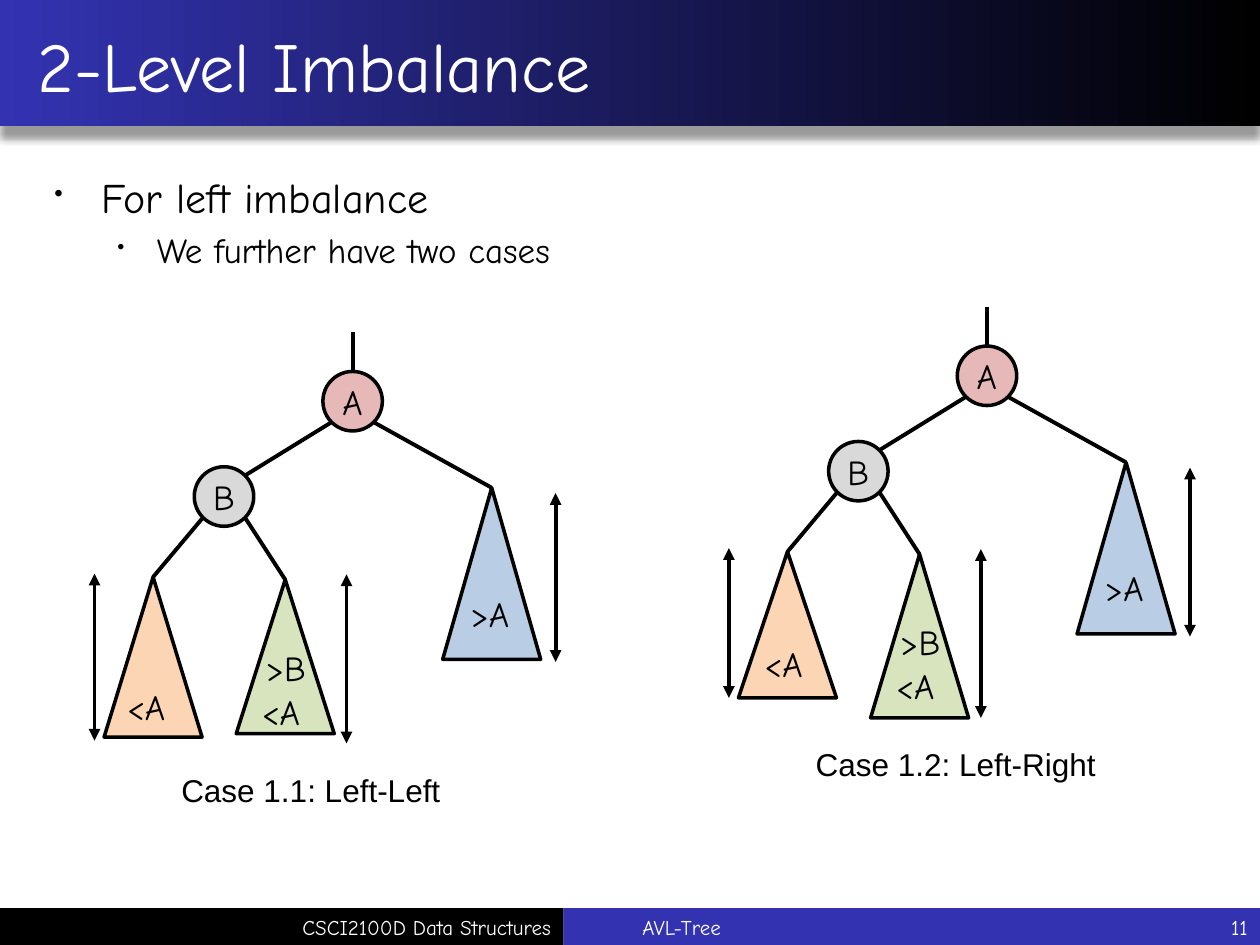
from lxml import etree
from pptx import Presentation
from pptx.dml.color import RGBColor
from pptx.enum import shapes as s, text as t
from pptx.oxml import ns
from pptx.util import Pt

BLACK, WHITE = RGBColor(0, 0, 0), RGBColor(255, 255, 255)
BLUE = RGBColor(0x33, 0x33, 0xB2)
ROSE, GREY = RGBColor(0xE6, 0xB9, 0xB8), RGBColor(0xD9, 0xD9, 0xD9)
PEACH, GREEN = RGBColor(0xFC, 0xD5, 0xB5), RGBColor(0xD7, 0xE4, 0xBD)
SKY = RGBColor(0xB9, 0xCD, 0xE5)
COMIC = "Comic Neue"
LEFT, MID, RIGHT = t.PP_ALIGN.LEFT, t.PP_ALIGN.CENTER, t.PP_ALIGN.RIGHT
RECT, OVAL, TRI = (s.MSO_SHAPE.RECTANGLE, s.MSO_SHAPE.OVAL,
                   s.MSO_SHAPE.ISOSCELES_TRIANGLE)

WIDE, HIGH = 720, 540
FOOT, SPLIT, BAR = 519, 322, 21
RAD, DIAG, BASE = 17, 12, 56

# text, size, left indent, hanging indent, space before
BULLETS = [("For left imbalance", 24, 27, -27, 0),
           ("We further have two cases", 20, 58.5, -22.5, 4)]

# text, left, width, alignment
FOOTERS = [("CSCI2100D Data Structures", 0.5, 321.5, RIGHT),
           ("AVL-Tree", 360, 317.5, LEFT),
           ("11", 630, 90, RIGHT)]

# Tree places are measured from the centre of node A.
NODE_B = (-73.5, 54.5)
LABELS = [("<A", -59, 161.5), (">B", -57, 136.5), (">A", 60, 105.5)]
# Per case: heights of the peach and green subtrees, end of the left arrow,
# and place of the peach label
CASES = [
    {"name": "Case 1.1: Left-Left", "root": (201.5, 229.25),
     "tall": (91.5, 88), "end": 194, "low": (-136, 159)},
    {"name": "Case 1.2: Left-Right", "root": (564, 214.75),
     "tall": (83.5, 93.5), "end": 184, "low": (-134.25, 149)},
]

deck = Presentation()
deck.slide_width, deck.slide_height = Pt(WIDE), Pt(HIGH)
slide = deck.slides.add_slide(deck.slide_layouts[6])


def add(tag, root, **vals):
    return etree.SubElement(root, ns.qn(tag), vals)


def style(obj, vals):
    for key, val in vals.items():
        setattr(obj, key, val)


def write(para, words, size, color=BLACK, face=COMIC):
    run = para.add_run()
    run.text = words
    style(run.font, {"size": Pt(size), "name": face})
    run.font.color.rgb = color


def label(words, x, y, w, h, size, color=BLACK, face=COMIC, align=LEFT,
          anchor=t.MSO_ANCHOR.TOP):
    frame = slide.shapes.add_textbox(Pt(x), Pt(y), Pt(w), Pt(h)).text_frame
    style(frame, {"word_wrap": True, "vertical_anchor": anchor})
    para = frame.paragraphs[0]
    para.alignment = align
    write(para, words, size, color, face)
    return para


def shape(kind, x, y, w, h, color=None, edge=True):
    form = slide.shapes.add_shape(kind, Pt(x), Pt(y), Pt(w), Pt(h))
    form.shadow.inherit = False
    if color is not None:
        form.fill.solid()
        form.fill.fore_color.rgb = color
    if edge:
        form.line.color.rgb = BLACK
        form.line.width = Pt(2)
    else:
        form.line.fill.background()
    return form


def line(x1, y1, x2, y2, heads=False):
    link = slide.shapes.add_connector(s.MSO_CONNECTOR.STRAIGHT,
                                      Pt(x1), Pt(y1), Pt(x2), Pt(y2))
    link.line.color.rgb = BLACK
    link.line.width = Pt(2.25)
    if heads:
        stroke = link.line._get_or_add_ln()
        for tag in ("a:headEnd", "a:tailEnd"):
            add(tag, stroke, type="triangle")
    add("a:effectLst", link._element.spPr)
    return link


def node(words, x, y, color):
    """Draw a round node centred at x, y."""
    form = shape(OVAL, x - RAD, y - RAD, 2 * RAD, 2 * RAD, color)
    frame = form.text_frame
    style(frame, {"word_wrap": False, "vertical_anchor": t.MSO_ANCHOR.MIDDLE})
    frame.paragraphs[0].alignment = MID
    write(frame.paragraphs[0], words, 20)
    return form


def tree(case):
    ax, ay = case["root"]
    bx, by = ax + NODE_B[0], ay + NODE_B[1]
    top = node("A", ax, ay, ROSE)
    node("B", bx, by, GREY)
    line(ax, ay - 39.5, ax, ay - RAD).end_connect(top, 0)
    line(ax - DIAG, ay + DIAG, bx + DIAG, by - DIAG)

    # parent, side of the parent, apex, height, colour
    low, mid = case["tall"]
    for px, py, side, x, y, tall, color in [
            (bx, by, -1, -114, 100.5, low, PEACH),
            (bx, by, 1, -38.5, 102, mid, GREEN),
            (ax, ay, 1, 79.5, 49.5, 98, SKY)]:
        x, y = ax + x, ay + y
        sub = shape(TRI, x - BASE / 2, y, BASE, tall, color)
        edge = line(px + side * DIAG, py + DIAG, x, y)
        edge.end_connect(sub, 0)

    for words, x, y in [("<A", *case["low"])] + LABELS:
        label(words, ax + x, ay + y, 40, 31.5, 20)
    for x, y, end in [(-147.5, 98.5, case["end"]), (-3.5, 99, 195.5),
                      (116, 52.5, 149)]:
        line(ax + x, ay + y, ax + x, ay + end, heads=True)
    label(case["name"], ax - 105, ay + 207.5, 176, 29, 18, face="Arial")


band = shape(RECT, 0, -0.5, WIDE, 72.5, edge=False)
band.fill.gradient()
band.fill.gradient_angle = 0
for stop, color in zip(band.fill.gradient_stops, (BLUE, BLACK)):
    stop.color.rgb = color
glow = add("a:outerShdw", band._element.spPr.find(ns.qn("a:effectLst")),
           blurRad=str(Pt(4)), dist=str(Pt(7)), dir="5400000", rotWithShape="0")
add("a:alpha", add("a:srgbClr", glow, val="000000"), val="40000")

shape(RECT, SPLIT, FOOT, WIDE - SPLIT, BAR, BLUE, edge=False)
shape(RECT, 0, FOOT, SPLIT, BAR, BLACK, edge=False)
for words, x, w, align in FOOTERS:
    label(words, x, FOOT, w, BAR, 12, WHITE, align=align,
          anchor=t.MSO_ANCHOR.MIDDLE)

title = label("2-Level Imbalance", 0, 1.5, WIDE, 70.5, 40, WHITE,
              anchor=t.MSO_ANCHOR.MIDDLE)
title._p.get_or_add_pPr().set("marL", str(Pt(14.5)))

body = slide.shapes.add_textbox(Pt(24), Pt(94.5), Pt(660), Pt(388)).text_frame
body.word_wrap = True
for i, (words, size, left, hang, gap) in enumerate(BULLETS):
    para = body.add_paragraph() if i else body.paragraphs[0]
    style(para, {"level": i, "space_before": Pt(gap)})
    props = para._p.get_or_add_pPr()
    props.set("marL", str(Pt(left)))
    props.set("indent", str(Pt(hang)))
    add("a:buSzPct", props, val="60000")
    add("a:buChar", props, char="•")
    write(para, words, size)

for case in CASES:
    tree(case)

deck.save("out.pptx")
